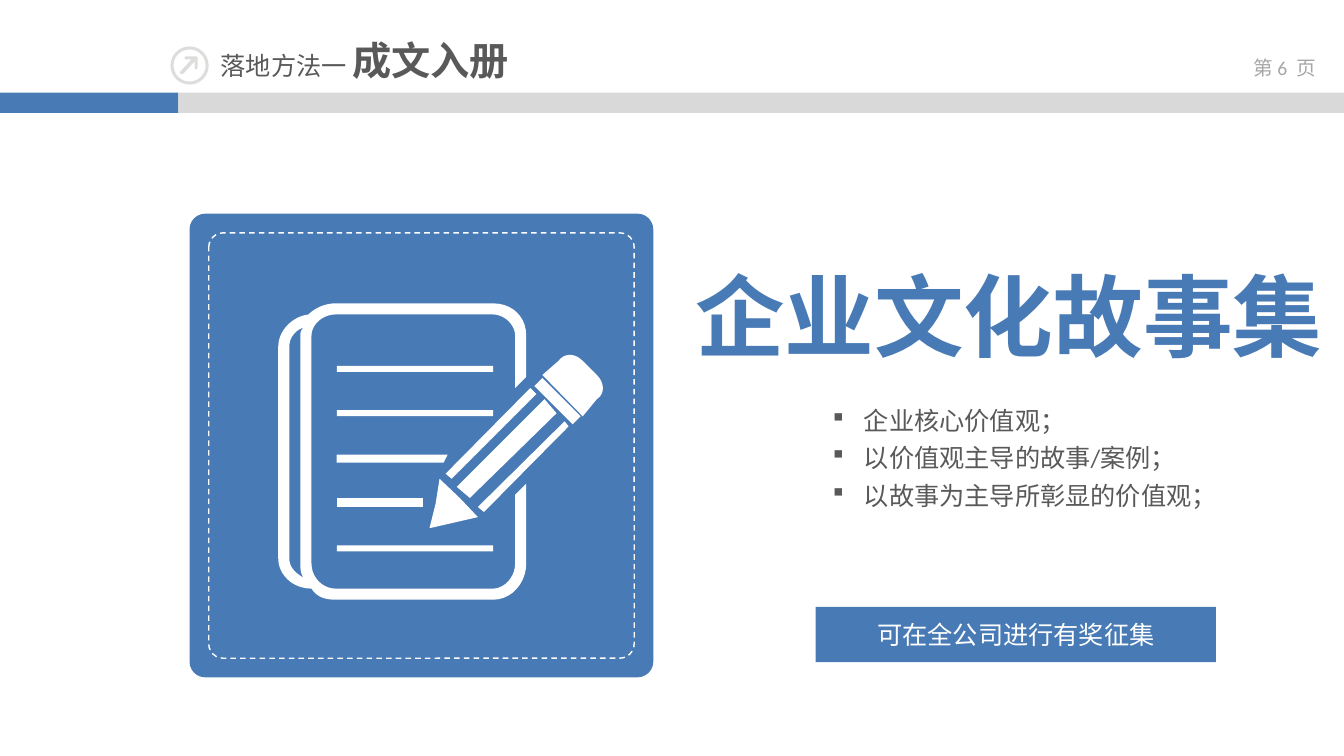
import pptx
import pptx.dml.color
import pptx.enum.dml
import pptx.enum.shapes
import pptx.enum.text
import pptx.oxml.ns
import pptx.util
from lxml import etree
from pptx.util import Inches

RGBColor = pptx.dml.color.RGBColor
SHAPE = pptx.enum.shapes.MSO_SHAPE
ALIGN = pptx.enum.text.PP_ALIGN
BLUE = RGBColor(0x48, 0x7A, 0xB5)
WHITE = RGBColor(0xFF, 0xFF, 0xFF)
BAND_GREY = RGBColor(0xD9, 0xD9, 0xD9)
ICON_GREY = RGBColor(0xDD, 0xDD, 0xDC)
PAGE_GREY = RGBColor(0xA6, 0xA6, 0xA6)
TEXT_GREY = RGBColor(0x59, 0x59, 0x59)
LATIN, CHINESE = "Calibri", "Noto Sans CJK SC"
CURVE_STEPS = 10

# Outlines in inches: a pair is a line end, six numbers are a cubic curve
ARROW = [[
    (1.82, 0.73), (1.93, 0.61), (1.93, 0.67),
    (1.93, 0.69, 1.96, 0.7, 1.96, 0.67), (1.96, 0.58),
    (1.96, 0.56, 1.95, 0.56, 1.93, 0.56), (1.85, 0.56),
    (1.82, 0.56, 1.83, 0.59, 1.85, 0.59), (1.9, 0.59), (1.79, 0.71),
    (1.77, 0.73, 1.8, 0.74, 1.82, 0.73),
]]
NOTEBOOK = [
    [
        (5.11, 5.59), (5.11, 5.73, 5, 5.84, 4.89, 5.84), (3.33, 5.84),
        (3.2, 5.84, 3.09, 5.73, 3.09, 5.59), (3.09, 3.33),
        (3.09, 3.22, 3.2, 3.12, 3.33, 3.12), (4.89, 3.12),
        (5, 3.12, 5.11, 3.22, 5.11, 3.33), (5.11, 3.85), (5.22, 3.74),
        (5.22, 3.33), (5.22, 3.14, 5.08, 3.01, 4.89, 3.01), (3.33, 3.01),
        (3.22, 3.01, 3.12, 3.06, 3.06, 3.12),
        (2.9, 3.14, 2.76, 3.28, 2.76, 3.44), (2.76, 5.54),
        (2.76, 5.7, 2.9, 5.84, 3.09, 5.84),
        (3.14, 5.92, 3.22, 5.95, 3.33, 5.95), (4.89, 5.95),
        (5.08, 5.95, 5.22, 5.78, 5.22, 5.59), (5.22, 4.8), (5.11, 4.91),
    ],
    [
        (2.87, 5.54), (2.87, 3.44), (2.87, 3.36, 2.92, 3.28, 3.01, 3.25),
        (2.98, 3.28, 2.98, 3.31, 2.98, 3.33), (2.98, 5.59),
        (2.98, 5.65, 2.98, 5.68, 3.01, 5.73),
        (2.92, 5.68, 2.87, 5.62, 2.87, 5.54),
    ],
]
SHORT_RULES = [
    [[(3.34, 4.59), (4.4, 4.59), (4.44, 4.51), (3.34, 4.51)]],
    [[(3.34, 5.03), (4.2, 5.03), (4.2, 4.94), (3.34, 4.94)]],
]
PENCIL = [
    [[(4.36, 4.75), (4.32, 5), (4.26, 5.24), (4.74, 5.13), (4.56, 4.94)]],
    [[(4.42, 4.7), (4.48, 4.75), (5.32, 3.91), (5.26, 3.85)]],
    [[(4.74, 5.03), (4.8, 5.08), (5.64, 4.23), (5.6, 4.18)]],
    [[(5.4, 3.96), (4.53, 4.83), (4.66, 4.94), (5.52, 4.1)]],
    [[(5.3, 3.83), (5.68, 4.21), (5.76, 4.13), (5.38, 3.75)]],
    [[(5.92, 3.72), (5.78, 3.58), (5.7, 3.5, 5.6, 3.5, 5.54, 3.58),
      (5.38, 3.72), (5.78, 4.13), (5.92, 3.96),
      (6, 3.91, 6, 3.8, 5.92, 3.72)]],
]


def paint(shape, fill):
    shape.shadow.inherit = False
    shape.line.fill.background()
    if fill is None:
        shape.fill.background()
    else:
        shape.fill.solid()
        shape.fill.fore_color.rgb = fill


def add_preset(slide, kind, box, fill, adjustment=None):
    shape = slide.shapes.add_shape(kind, *map(Inches, box))
    paint(shape, fill)
    if adjustment is not None:
        shape.adjustments[0] = adjustment
    return shape


def flatten(contour):
    """Turn lines and cubic curves into a list of points."""
    points = [contour[0]]
    for segment in contour[1:]:
        if len(segment) == 2:
            points.append(segment)
            continue
        x0, y0 = points[-1]
        x1, y1, x2, y2, x3, y3 = segment
        for step in range(1, CURVE_STEPS + 1):
            t = step / CURVE_STEPS
            a, b, c, d = (1 - t) ** 3, 3 * t * (1 - t) ** 2, 3 * t * t * (1 - t), t ** 3
            points.append((a * x0 + b * x1 + c * x2 + d * x3,
                           a * y0 + b * y1 + c * y2 + d * y3))
    return [(Inches(x), Inches(y)) for x, y in points]


def add_outline(slide, contours, fill):
    builder = None
    for contour in contours:
        start, *rest = flatten(contour)
        if builder is None:
            builder = slide.shapes.build_freeform(*start)
        else:
            builder.move_to(*start)
        builder.add_line_segments(rest, close=True)
    paint(builder.convert_to_shape(), fill)


def format_run(run, size, color, bold=False, font=LATIN):
    run.font.size = pptx.util.Pt(size)
    run.font.bold = bold
    run.font.color.rgb = color
    run.font.name = font
    east_asian = etree.SubElement(run.font._element, pptx.oxml.ns.qn("a:ea"))
    east_asian.set("typeface", font)


def add_text(slide, box, paragraphs, align=ALIGN.LEFT, wrap=True):
    """Each paragraph is a list of (text, run format) pairs."""
    frame = slide.shapes.add_textbox(*map(Inches, box)).text_frame
    frame.word_wrap = wrap
    for index, runs in enumerate(paragraphs):
        paragraph = frame.add_paragraph() if index else frame.paragraphs[0]
        paragraph.alignment = align
        for text, style in runs:
            run = paragraph.add_run()
            run.text = text
            format_run(run, **style)
    return frame


def add_bullets(slide, box, lines, style):
    frame = add_text(slide, box, [[(line, style)] for line in lines])
    for index, paragraph in enumerate(frame.paragraphs):
        properties = paragraph._p.get_or_add_pPr()
        properties.set("marL", str(Inches(0.31)))
        properties.set("indent", str(Inches(-0.31)))
        # In Wingdings this character is the small filled square
        for tag, key, value in (("a:buFont", "typeface", "Wingdings"), ("a:buChar", "char", "§")):
            etree.SubElement(properties, pptx.oxml.ns.qn(tag)).set(key, value)
        paragraph.line_spacing = 1.1
        if index:
            paragraph.space_before = pptx.util.Pt(3)


def add_header(slide):
    add_preset(slide, SHAPE.RECTANGLE, (0, 0.92, 1.77, 0.2), BLUE)
    add_preset(slide, SHAPE.RECTANGLE, (1.77, 0.92, 11.56, 0.2), BAND_GREY)
    page = dict(size=14, color=PAGE_GREY)
    add_text(slide, (12.14, 0.51, 1.2, 0.4),
             [[("第 ", dict(page, font=CHINESE)), ("6 ", page),
               (" 页", dict(page, font=CHINESE))]], ALIGN.CENTER)
    add_preset(slide, SHAPE.DONUT, (1.69, 0.46, 0.38, 0.38), ICON_GREY, 0.08)
    add_outline(slide, ARROW, ICON_GREY)
    add_text(slide, (2.09, 0.31, 3.09, 0.57),
             [[("落地方法一 ", dict(size=18, color=TEXT_GREY)),
               ("成文入册", dict(size=28, color=TEXT_GREY, bold=True))]], wrap=False)


def add_notebook_tile(slide):
    add_preset(slide, SHAPE.ROUNDED_RECTANGLE, (1.88, 2.12, 4.6, 4.6), BLUE, 0.034)
    stitching = add_preset(slide, SHAPE.ROUNDED_RECTANGLE, (2.07, 2.31, 4.22, 4.22), None, 0.034)
    stitching.line.color.rgb = WHITE
    stitching.line.width = pptx.util.Pt(1)
    stitching.line.dash_style = pptx.enum.dml.MSO_LINE.DASH
    for top in (3.63, 4.07, 5.41):
        add_preset(slide, SHAPE.RECTANGLE, (3.34, top, 1.55, 0.06), WHITE)
    for contours in [NOTEBOOK, *SHORT_RULES, *PENCIL]:
        add_outline(slide, contours, WHITE)


def main():
    deck = pptx.Presentation()
    deck.slide_width, deck.slide_height = Inches(13.33), Inches(7.5)
    slide = deck.slides.add_slide(deck.slide_layouts[6])
    add_header(slide)
    add_notebook_tile(slide)

    # Heading and points
    add_text(slide, (6.67, 2.54, 6.67, 1.21),
             [[("企业文化故事集", dict(size=64, color=BLUE, bold=True))]], ALIGN.CENTER)
    add_bullets(slide, (8.16, 3.94, 4.05, 1.18),
                ["企业核心价值观；", "以价值观主导的故事/案例；", "以故事为主导所彰显的价值观；"],
                dict(size=18, color=TEXT_GREY))

    # Call to action
    add_preset(slide, SHAPE.RECTANGLE, (8.09, 6.02, 3.97, 0.55), BLUE)
    add_text(slide, (8.09, 6.09, 3.97, 0.4),
             [[("可在全公司进行有奖征集", dict(size=18, color=WHITE))]], ALIGN.CENTER)
    deck.save("out.pptx")


if __name__ == "__main__":
    main()
